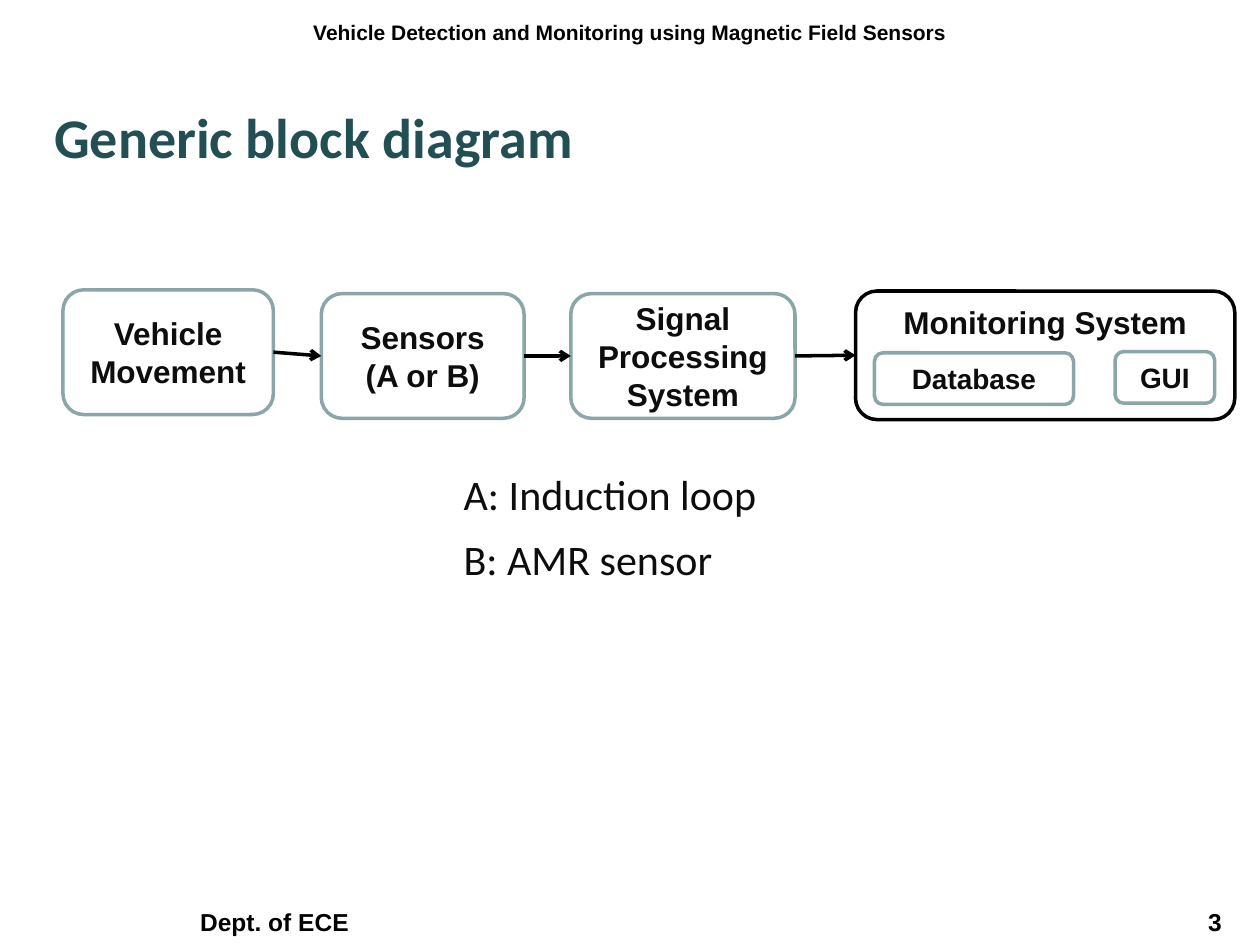
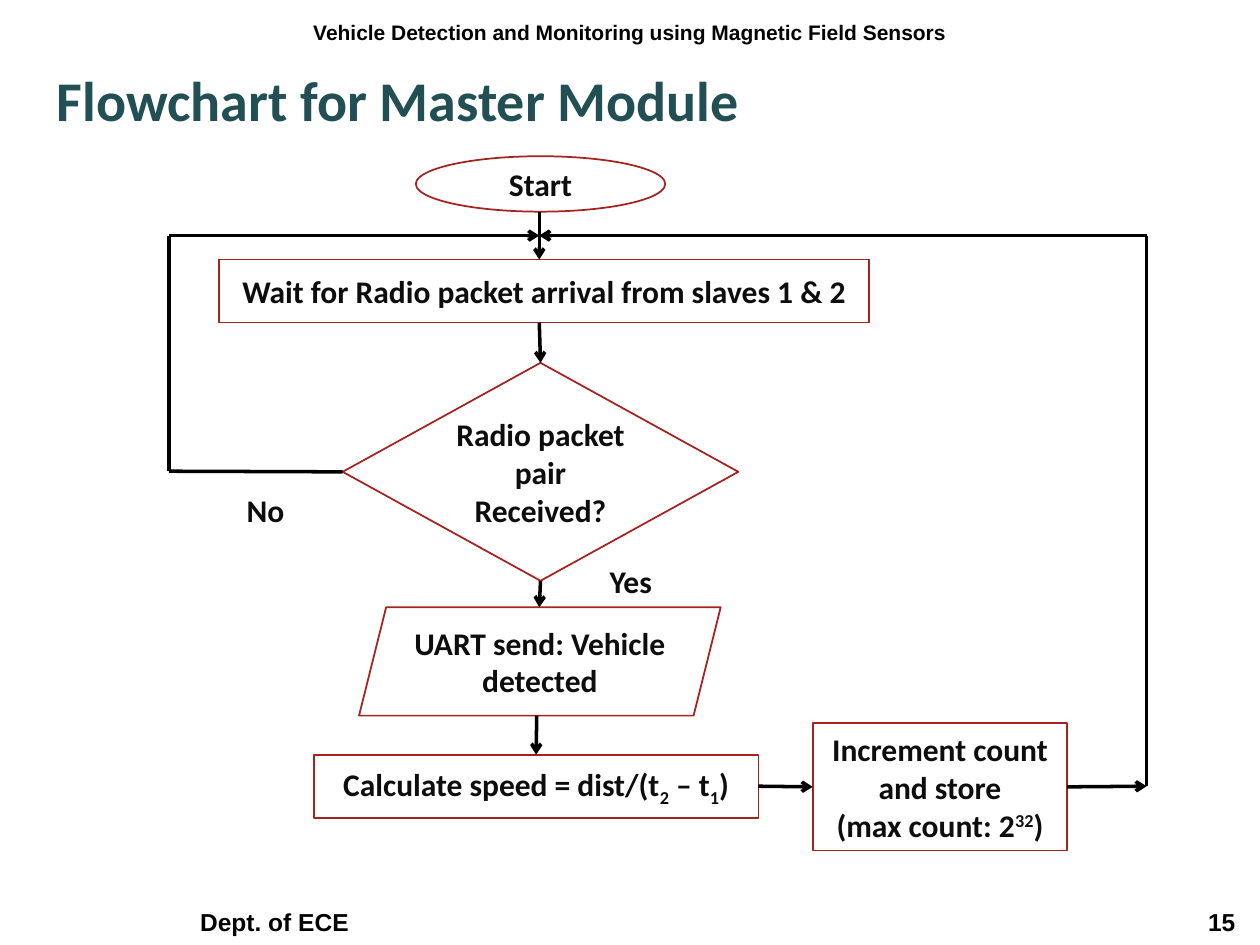
from lxml import etree
from pptx import Presentation
from pptx.dml.color import RGBColor
from pptx.enum.shapes import MSO_CONNECTOR, MSO_SHAPE
from pptx.enum.text import MSO_ANCHOR, MSO_AUTO_SIZE, PP_ALIGN
from pptx.oxml.ns import qn
from pptx.util import Inches, Pt

ROUND, RECT, OVAL = MSO_SHAPE.ROUNDED_RECTANGLE, MSO_SHAPE.RECTANGLE, MSO_SHAPE.OVAL
DIAMOND, SLANTED = MSO_SHAPE.FLOWCHART_DECISION, MSO_SHAPE.PARALLELOGRAM
LEFT, CENTER = PP_ALIGN.LEFT, PP_ALIGN.CENTER
TOP, MIDDLE, BOTTOM = MSO_ANCHOR.TOP, MSO_ANCHOR.MIDDLE, MSO_ANCHOR.BOTTOM
SITE = {"top": 0, "left": 1, "bottom": 2, "right": 3}

WIDTH, HEIGHT = 10, 7.5
BLACK, INK, TEAL, SAGE, RED, WHITE = "000000", "0D0D0D", "214F53", "8AA6A8", "A5221E", "FFFFFF"

HEADER = "Vehicle Detection and Monitoring using Magnetic Field Sensors"
DEPARTMENT = "Dept. of ECE"
FOOTER_TABS = (1.49, 9.49)

HEADER_FONT = dict(name="Arial", size=12, bold=True, color=BLACK)
FOOTER_FONT = dict(HEADER_FONT, size=14)
TITLE_FONT = dict(name="Calibri", size=32, bold=True, color=TEAL)
LEGEND_FONT = dict(name="Calibri", size=24, bold=False, color=INK)
BLOCK_FONT = dict(name="Arial", size=18, bold=True, color=INK)
PART_FONT = dict(BLOCK_FONT, size=16)
FLOW_FONT = dict(BLOCK_FONT, name="Calibri")

# A paragraph is a string, or a list of strings and (text, baseline) pairs.
BLOCK = dict(kind=ROUND, line=SAGE, weight=2, font=BLOCK_FONT)
PART = dict(BLOCK, font=PART_FONT)
MONITOR = dict(BLOCK, line=BLACK, fill=None, anchor=TOP)
BLOCKS = [
    ("vehicle", BLOCK, (0.5, 2.3, 1.67, 0.99), ["Vehicle Movement"]),
    ("sensors", BLOCK, (2.55, 2.33, 1.61, 0.99), ["Sensors", "(A or B)"]),
    ("signal", BLOCK, (4.53, 2.33, 1.78, 0.99), ["Signal Processing System"]),
    ("monitor", MONITOR, (6.79, 2.31, 3.01, 1.02), ["Monitoring System"]),
    ("database", PART, (6.94, 2.8, 1.58, 0.41), ["Database"]),
    ("gui", PART, (8.85, 2.79, 0.79, 0.41), ["GUI"]),
]
CHAIN = ["vehicle", "sensors", "signal", "monitor"]
BLOCK_LINKS = [((a, "right"), (b, "left"), True) for a, b in zip(CHAIN, CHAIN[1:])]
LEGEND = ["A: Induction loop", "B: AMR sensor"]
LEGEND_AT = (3.58, 3.67, 3.02, 1.17)

STEP = dict(kind=RECT, line=RED, weight=1, font=FLOW_FONT)
STEPS = [
    ("start", dict(STEP, kind=OVAL), (3.3, 1.24, 1.98, 0.44), ["Start"]),
    ("wait", STEP, (1.74, 2.06, 5.16, 0.5),
     ["Wait for Radio packet arrival from slaves 1 & 2"]),
    ("received", dict(STEP, kind=DIAMOND), (2.72, 2.88, 3.14, 1.73),
     ["Radio packet pair Received?"]),
    ("send", dict(STEP, kind=SLANTED), (2.85, 4.82, 2.87, 0.86),
     ["UART send: Vehicle detected"]),
    ("speed", STEP, (2.49, 5.99, 3.53, 0.5),
     [["Calculate speed = dist/(t", ("2", -25), " – t", ("1", -25), ")"]]),
    ("count", STEP, (6.45, 5.74, 2.02, 1.01),
     ["Increment count and store", ["(max count: 2", ("32", 30), ")"]]),
]
AXIS, MERGE, NO_LANE, LOOP_LANE = 4.28, 1.87, 1.34, 9.1
NO_ROW, LOOP_ROW = 3.74, 6.24
# Each link is (begin, end, has an arrowhead); an end is (step, side) or (x, y).
STEP_LINKS = [
    ((AXIS, 1.68), (AXIS, 2.06), True),
    ((AXIS, 2.56), ("received", "top"), True),
    (("received", "bottom"), (AXIS, 4.82), True),
    ((4.26, 5.68), ("speed", "top"), True),
    (("speed", "right"), ("count", "left"), True),
    (("count", "right"), (LOOP_LANE, LOOP_ROW), True),
    ((LOOP_LANE, LOOP_ROW), (LOOP_LANE, MERGE), False),
    ((LOOP_LANE, MERGE), (AXIS, MERGE), True),
    (("received", "left"), (NO_LANE, NO_ROW), False),
    ((NO_LANE, NO_ROW), (NO_LANE, MERGE), False),
    ((NO_LANE, MERGE), (AXIS, MERGE), True),
]
ANSWERS = [("No", (1.86, 3.85, 0.5, 0.4)), ("Yes", (4.74, 4.41, 0.54, 0.4))]


def rgb(code):
    return RGBColor.from_string(code)


def inches(values):
    return [Inches(value) for value in values]


def format_font(font, style):
    values = dict(name=style["name"], size=Pt(style["size"]), bold=style["bold"])
    for key, value in values.items():
        setattr(font, key, value)
    font.color.rgb = rgb(style["color"])


def write(box, paragraphs, style, align=LEFT, anchor=TOP, wrap=True):
    frame = box.text_frame
    values = dict(word_wrap=wrap, vertical_anchor=anchor, auto_size=MSO_AUTO_SIZE.NONE)
    for key, value in values.items():
        setattr(frame, key, value)
    for index, content in enumerate(paragraphs):
        para = frame.add_paragraph() if index else frame.paragraphs[0]
        para.alignment = align
        for piece in [content] if isinstance(content, str) else content:
            text, baseline = (piece, 0) if isinstance(piece, str) else piece
            span = para.add_run()
            span.text = text
            format_font(span.font, style)
            if baseline:
                span.font._element.set("baseline", str(baseline * 1000))
    return frame.paragraphs


def place(shape, at):
    for key, value in zip(("left", "top", "width", "height"), inches(at)):
        setattr(shape, key, value)


def add_text(page, at, paragraphs, style, **options):
    box = page.shapes.add_textbox(*inches(at))
    return write(box, paragraphs, style, **options)


def add_page(deck, layout, title, title_at, number):
    """Add a slide with its title and the shared header and footer."""
    page = deck.slides.add_slide(deck.slide_layouts.get_by_name(layout))
    place(page.shapes.title, title_at)
    write(page.shapes.title, [title], TITLE_FONT)
    add_text(page, (0, 0.11, WIDTH, 0.4), [HEADER], HEADER_FONT, align=CENTER)
    footer = add_text(page, (0, 7.08, WIDTH, 0.4), [f"\t{DEPARTMENT}\t{number}"],
                      FOOTER_FONT, anchor=BOTTOM)[0]
    tabs = etree.SubElement(footer._p.get_or_add_pPr(), qn("a:tabLst"))
    for position in FOOTER_TABS:
        etree.SubElement(tabs, qn("a:tab"), pos=str(Inches(position)), algn="l")
    return page


def add_boxes(page, boxes):
    """Draw the boxes and return them by name."""
    drawn = {}
    for name, look, at, paragraphs in boxes:
        box = page.shapes.add_shape(look["kind"], *inches(at))
        box.shadow.inherit = False
        fill = look.get("fill", WHITE)
        if fill:
            box.fill.solid()
            box.fill.fore_color.rgb = rgb(fill)
        else:
            box.fill.background()
        box.line.color.rgb = rgb(look["line"])
        box.line.width = Pt(look["weight"])
        write(box, paragraphs, look["font"], CENTER, look.get("anchor", MIDDLE))
        drawn[name] = box
    return drawn


def add_links(page, links, boxes):
    for begin, end, arrow in links:
        points = [(0, 0) if tip[0] in boxes else inches(tip) for tip in (begin, end)]
        link = page.shapes.add_connector(MSO_CONNECTOR.STRAIGHT, *points[0], *points[1])
        for tip, join in ((begin, link.begin_connect), (end, link.end_connect)):
            if tip[0] in boxes:
                join(boxes[tip[0]], SITE[tip[1]])
        link.line.color.rgb = rgb(BLACK)
        link.line.width = Pt(2)
        properties = link._element.spPr
        if arrow:
            etree.SubElement(properties.find(qn("a:ln")), qn("a:tailEnd"), type="arrow")
        etree.SubElement(properties, qn("a:effectLst"))


def add_legend(page):
    body = page.placeholders[1]
    place(body, LEGEND_AT)
    for index, para in enumerate(write(body, LEGEND, LEGEND_FONT)):
        properties = para._p.get_or_add_pPr()
        properties.set("marL", "0")
        properties.set("indent", "0")
        etree.SubElement(properties, qn("a:buNone"))
        para.space_before = Pt(8 if index else 0)


def main():
    deck = Presentation()
    deck.slide_width, deck.slide_height = inches((WIDTH, HEIGHT))

    diagram = add_page(deck, "Title and Content", "Generic block diagram",
                       (0.33, 0.76, 9.37, 0.74), 3)
    add_links(diagram, BLOCK_LINKS, add_boxes(diagram, BLOCKS))
    add_legend(diagram)

    flowchart = add_page(deck, "Title Only", "Flowchart for Master Module",
                         (0.35, 0.47, 9.48, 0.61), 15)
    add_links(flowchart, STEP_LINKS, add_boxes(flowchart, STEPS))
    for answer, at in ANSWERS:
        add_text(flowchart, at, [answer], FLOW_FONT, wrap=False)

    deck.save("out.pptx")


if __name__ == "__main__":
    main()
